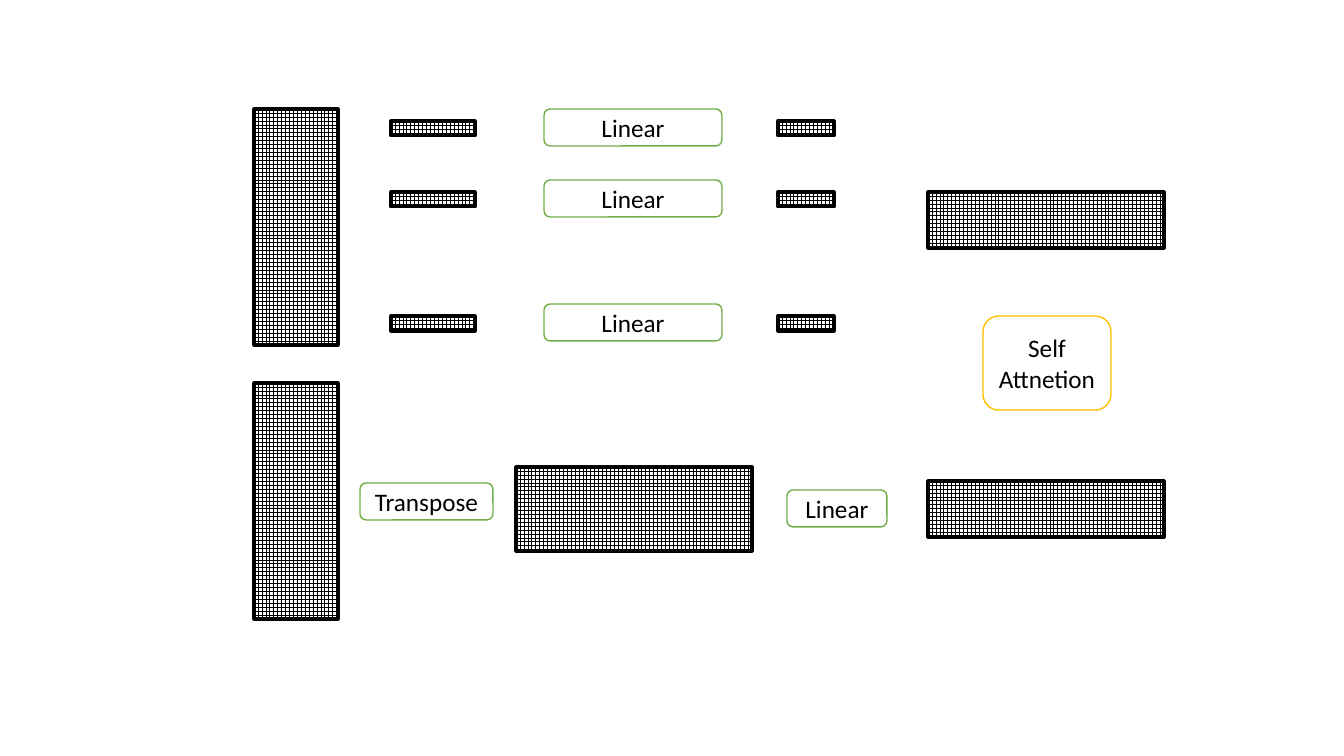
from dataclasses import dataclass

from pptx import Presentation
from pptx.dml.color import RGBColor
from pptx.enum.dml import MSO_PATTERN as PATTERN
from pptx.enum.shapes import MSO_SHAPE as SHAPE
from pptx.enum.text import MSO_ANCHOR as ANCHOR, PP_ALIGN as ALIGN
from pptx.util import Emu, Pt

EMU_PER_PX = 914400 / 100.8
BLACK, WHITE, GREEN, AMBER = "000000", "FFFFFF", "70AD47", "FFC000"


@dataclass(frozen=True)
class Matrix:
    x: int
    y: int
    w: int
    h: int
    rotation: int = 0


@dataclass(frozen=True)
class Operation:
    text: str
    x: int
    y: int
    w: int
    h: int = 37
    color: str = GREEN


def px(n: int) -> Emu:
    return Emu(round(n * EMU_PER_PX))


def rgb(value: str) -> RGBColor:
    return RGBColor.from_string(value)


def add_outlined(kind: SHAPE, item: Matrix | Operation, color: str, width: float):
    sp = s.shapes.add_shape(kind, px(item.x), px(item.y), px(item.w), px(item.h))
    sp.shadow.inherit = False
    sp.line.color.rgb = rgb(color)
    sp.line.width = Pt(width)
    return sp


def draw_matrix(m: Matrix) -> None:
    sp = add_outlined(SHAPE.RECTANGLE, m, BLACK, 2.25)
    sp.rotation = m.rotation
    sp.fill.patterned()
    sp.fill.pattern = PATTERN.LARGE_GRID
    sp.fill.fore_color.rgb = rgb(BLACK)
    sp.fill.back_color.rgb = rgb(WHITE)


def draw_operation(op: Operation) -> None:
    sp = add_outlined(SHAPE.ROUNDED_RECTANGLE, op, op.color, 1)
    sp.fill.solid()
    sp.fill.fore_color.rgb = rgb(WHITE)
    tf = sp.text_frame
    tf.word_wrap = True
    tf.vertical_anchor = ANCHOR.MIDDLE
    tf.margin_left = tf.margin_right = px(6)
    p = tf.paragraphs[0]
    p.alignment = ALIGN.CENTER
    r = p.add_run()
    r.text = op.text
    r.font.name = "Calibri"
    r.font.size = Pt(18)
    r.font.color.rgb = rgb(BLACK)


prs = Presentation()
prs.slide_width, prs.slide_height = px(1344), px(756)
s = prs.slides.add_slide(prs.slide_layouts[6])

# Matrix sizes: long side, feature side, projected side
LONG, FEATURES, PROJECTED = 236, 84, 56

# Input matrices, transposed input and projected results
matrices = [Matrix(254, y, FEATURES, LONG) for y in (109, 383)]
matrices += [
    Matrix(592, 391, FEATURES, LONG, 270),
    Matrix(1018, 102, PROJECTED, LONG, 270),
    Matrix(1018, 391, PROJECTED, LONG, 270),
]

# Lower branch and attention
operations = [
    Operation("Transpose", 360, 483, 133),
    Operation("Linear", 787, 490, 100),
    Operation("Self Attnetion", 983, 316, 128, 94, AMBER),
]

# Upper branch: each row vector passes through its own linear layer
for y in (109, 180, 304):
    operations.append(Operation("Linear", 544, y, 178))
    matrices += [Matrix(x, y + 12, w, 15) for x, w in ((391, FEATURES), (778, PROJECTED))]

for matrix in matrices:
    draw_matrix(matrix)
for operation in operations:
    draw_operation(operation)

prs.save("out.pptx")
